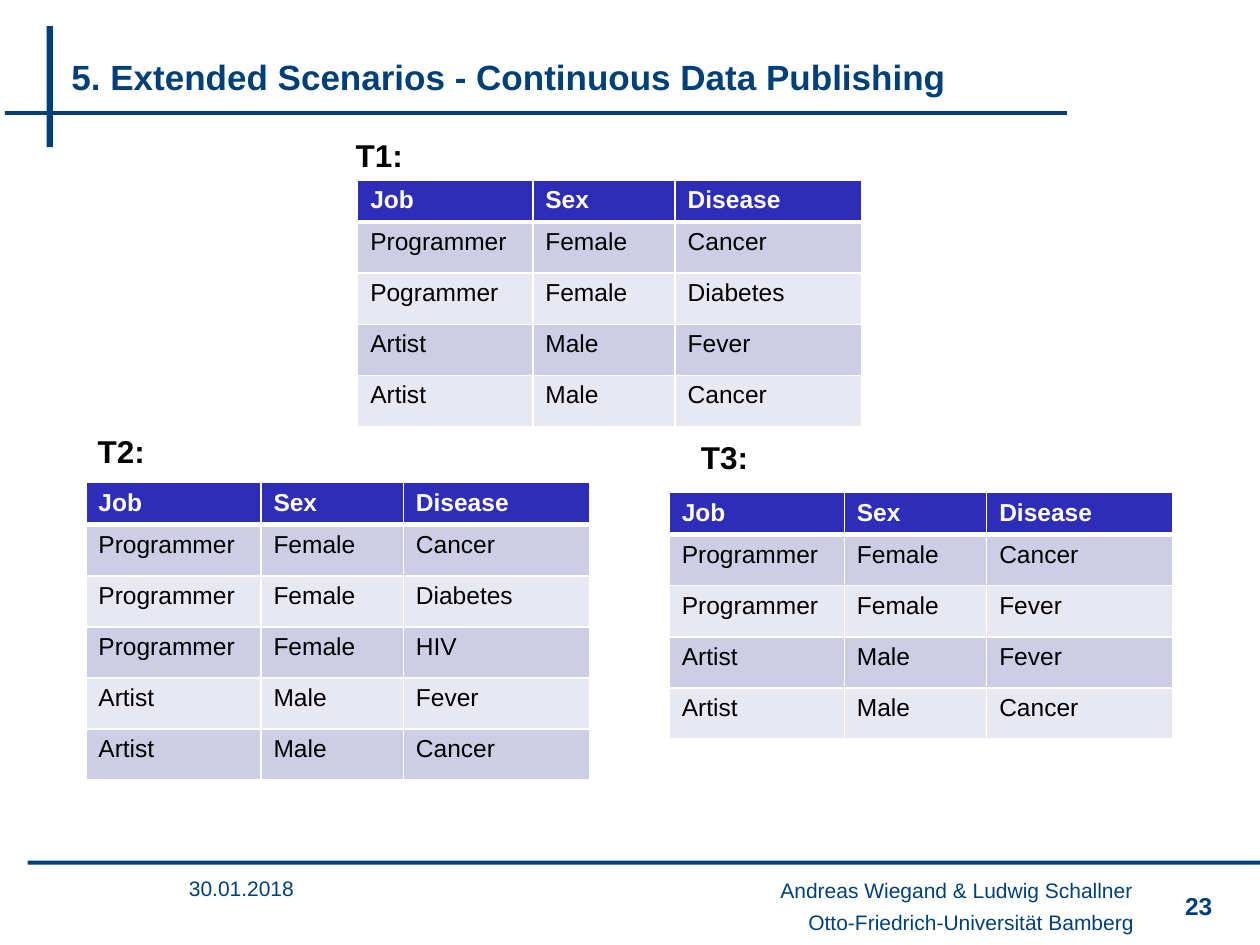
from dataclasses import dataclass

from lxml.etree import SubElement
from pptx import Presentation
from pptx.dml.color import RGBColor
from pptx.enum.shapes import MSO_SHAPE
from pptx.enum.text import MSO_ANCHOR, PP_ALIGN
from pptx.oxml.ns import qn
from pptx.util import Cm, Pt


@dataclass(frozen=True)
class Theme:
    font: str = "Arial"
    navy: RGBColor = RGBColor(0x00, 0x40, 0x7A)
    header: RGBColor = RGBColor(0x2D, 0x2D, 0xB9)
    dark_band: RGBColor = RGBColor(0xCD, 0xCD, 0xE6)
    light_band: RGBColor = RGBColor(0xE8, 0xE8, 0xF3)
    white: RGBColor = RGBColor(0xFF, 0xFF, 0xFF)
    black: RGBColor = RGBColor(0x00, 0x00, 0x00)
    title_size: Pt = Pt(20)
    label_size: Pt = Pt(18)
    body_size: Pt = Pt(14)
    footer_size: Pt = Pt(12)


theme = Theme()


def write(frame, text, size, color, bold=False, align=PP_ALIGN.LEFT):
    para = frame.paragraphs[0]
    para.text = text
    para.alignment = align
    para.font.name = theme.font
    para.font.size = size
    para.font.bold = bold
    para.font.color.rgb = color


def add_border(cell, side, points):
    line = SubElement(cell._tc.get_or_add_tcPr(), qn(f"a:{side}"), w=str(Pt(points)))
    fill = SubElement(line, qn("a:solidFill"))
    SubElement(fill, qn("a:srgbClr"), val=str(theme.white))


deck = Presentation()
deck.slide_width = Cm(25.4)
deck.slide_height = Cm(19.05)
page = deck.slides.add_slide(deck.slide_layouts[6])

rules = [
    (0.94, 0.53, 0.13, 2.44),
    (0.1, 2.24, 21.41, 0.08),
    (0.56, 17.35, 24.84, 0.08),
]
for bounds in rules:
    rule = page.shapes.add_shape(MSO_SHAPE.RECTANGLE, *map(Cm, bounds))
    rule.shadow.inherit = False
    rule.fill.solid()
    rule.fill.fore_color.rgb = theme.navy
    rule.line.fill.background()

wide_insets = (0.25, 0.25)
footer_insets = (0.1, 0.05)
title_style = (theme.title_size, theme.navy, True, PP_ALIGN.LEFT)
label_style = (theme.label_size, theme.black, True, PP_ALIGN.CENTER)
date_style = (theme.footer_size, theme.navy, False, PP_ALIGN.LEFT)
author_style = (theme.footer_size, theme.navy, False, PP_ALIGN.RIGHT)
number_style = (theme.body_size, theme.navy, True, PP_ALIGN.RIGHT)

texts = [
    ("Otto-Friedrich-Universität Bamberg", (5.51, 18.14, 17.4, 0.91), footer_insets, author_style),
    ("5. Extended Scenarios - Continuous Data Publishing", (1.19, 0.74, 21.89, 1.6), wide_insets, title_style),
    ("30.01.2018", (3.71, 17.25, 3.61, 1.32), footer_insets, date_style),
    ("Andreas Wiegand & Ludwig Schallner", (7.65, 17.53, 15.24, 0.81), footer_insets, author_style),
    ("23", (23.37, 17.81, 1.32, 0.91), wide_insets, number_style),
    ("T1:", (5.89, 2.62, 3.51, 1.02), wide_insets, label_style),
    ("T3:", (12.85, 8.71, 3.51, 1.02), wide_insets, label_style),
    ("T2:", (0.69, 8.59, 3.51, 1.02), wide_insets, label_style),
]
for text, bounds, insets, style in texts:
    box = page.shapes.add_textbox(*map(Cm, bounds))
    frame = box.text_frame
    frame.word_wrap = True
    frame.vertical_anchor = MSO_ANCHOR.MIDDLE
    frame.margin_left, frame.margin_right = map(Cm, insets)
    write(frame, text, *style)

headings = ("Job", "Sex", "Disease")
column_widths = (3.53, 2.87, 3.76)
header_height, row_height = 0.82, 1.03
tables = [
    (7.21, 3.63, [
        ("Programmer", "Female", "Cancer"),
        ("Pogrammer", "Female", "Diabetes"),
        ("Artist", "Male", "Fever"),
        ("Artist", "Male", "Cancer"),
    ]),
    (1.73, 9.73, [
        ("Programmer", "Female", "Cancer"),
        ("Programmer", "Female", "Diabetes"),
        ("Programmer", "Female", "HIV"),
        ("Artist", "Male", "Fever"),
        ("Artist", "Male", "Cancer"),
    ]),
    (13.49, 9.93, [
        ("Programmer", "Female", "Cancer"),
        ("Programmer", "Female", "Fever"),
        ("Artist", "Male", "Fever"),
        ("Artist", "Male", "Cancer"),
    ]),
]
for left, top, records in tables:
    rows = [headings, *records]
    height = header_height + row_height * len(records)
    table = page.shapes.add_table(
        len(rows), len(headings), Cm(left), Cm(top), Cm(sum(column_widths)), Cm(height)
    ).table
    for column, width in zip(table.columns, column_widths):
        column.width = Cm(width)
    for index, values in enumerate(rows):
        is_header = index == 0
        table.rows[index].height = Cm(header_height if is_header else row_height)
        band = theme.dark_band if index % 2 else theme.light_band
        for cell, value in zip(table.rows[index].cells, values):
            add_border(cell, "lnL", 1)
            add_border(cell, "lnR", 1)
            add_border(cell, "lnT", 3 if index == 1 else 1)
            add_border(cell, "lnB", 3 if is_header else 1)
            cell.fill.solid()
            cell.fill.fore_color.rgb = theme.header if is_header else band
            color = theme.white if is_header else theme.black
            write(cell.text_frame, value, theme.body_size, color, is_header)

deck.save("out.pptx")
